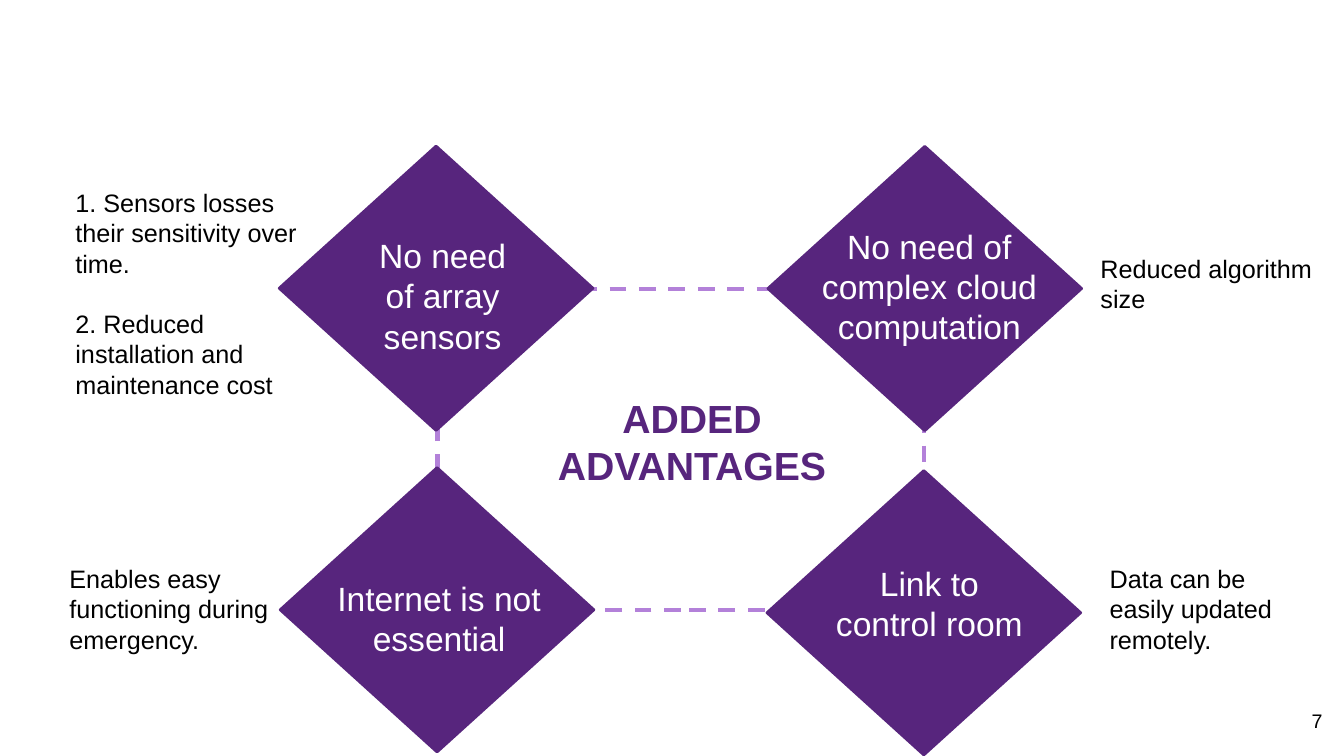
import pptx
import pptx.util
import pptx.dml.color
import pptx.enum.dml
import pptx.enum.shapes
import pptx.enum.text

Pt = pptx.util.Pt
ALIGN = pptx.enum.text.PP_ALIGN
SHAPE = pptx.enum.shapes.MSO_SHAPE
COLORS = {"purple": "57257D", "lilac": "B381D9", "white": "FFFFFF", "black": "000000"}


def color(name):
    return pptx.dml.color.RGBColor.from_string(COLORS[name])


def write(box, text, size=18, ink="black", bold=False, align=ALIGN.LEFT, gap=0):
    """Fill a box with text, one paragraph a line, with a gap between paragraphs."""
    frame = box.text_frame
    frame.word_wrap = True
    frame.auto_size = pptx.enum.text.MSO_AUTO_SIZE.NONE
    frame.vertical_anchor = pptx.enum.text.MSO_ANCHOR.TOP
    for index, line in enumerate(text.split("\n")):
        para = frame.add_paragraph() if index else frame.paragraphs[0]
        para.alignment = align
        para.space_before = Pt(gap if index else 0)
        span = para.add_run()
        span.text = line
        span.font.name = "Arial"
        span.font.size = Pt(size)
        span.font.bold = bold
        span.font.color.rgb = color(ink)


class SlideBuilder:
    def __init__(self, deck):
        self.page = deck.slides.add_slide(deck.slide_layouts[5])

    def shape(self, kind, place, fill, line, width):
        shape = self.page.shapes.add_shape(kind, *map(Pt, place))
        shape.shadow.inherit = False
        shape.fill.solid()
        shape.fill.fore_color.rgb = color(fill)
        shape.line.color.rgb = color(line)
        shape.line.width = Pt(width)
        return shape

    def frame(self, place):
        frame = self.shape(SHAPE.RECTANGLE, place, "white", "lilac", 3)
        frame.line.dash_style = pptx.enum.dml.MSO_LINE.DASH

    def diamond(self, left, top):
        self.shape(SHAPE.DIAMOND, (left, top, 224, 203), "purple", "purple", 2)

    def text(self, place, text, **style):
        write(self.page.shapes.add_textbox(*map(Pt, place)), text, **style)

    def title(self, place, text, **style):
        title = self.page.shapes.title
        title.left, title.top, title.width, title.height = map(Pt, place)
        write(title, text, **style)
        # Bring the title in front of the frame
        self.page.shapes.element.append(title.element)


# Diamond corner, label place and text, note place and text
ADVANTAGES = [
    ((199.5, 104.4), (257.8, 164.2, 116.6, 94.3), "No need of array sensors",
     (46.8, 130.3, 182.9, 181.4),
     "1. Sensors losses their sensitivity over time.\n"
     "2. Reduced installation and maintenance cost"),
    ((548.6, 104.6), (565.9, 157.7, 195.8, 94.3), "No need of complex cloud computation",
     (779, 177.1, 169.2, 51.1), "Reduced algorithm size"),
    ((200.2, 334.1), (221.8, 409, 183.6, 65.5), "Internet is not essential",
     (42.5, 398.9, 173.5, 72.7), "Enables easy functioning during emergency."),
    ((547.9, 336.2), (586.1, 398.4, 155.5, 65.5), "Link to control room",
     (785.5, 398.9, 155.5, 72.7), "Data can be easily updated remotely."),
]


def main():
    deck = pptx.Presentation()
    deck.slide_width, deck.slide_height = Pt(960), Pt(540)
    slide = SlideBuilder(deck)

    # Dashed frame that links the diamonds
    slide.frame((312.5, 206.6, 347.8, 229))

    # Central title
    slide.title((382.3, 277.9, 223.9, 74.9), "ADDED ADVANTAGES",
                size=28, ink="purple", bold=True, align=ALIGN.CENTER)

    # Advantages with their notes
    for corner, label_place, label, note_place, note in ADVANTAGES:
        slide.diamond(*corner)
        slide.text(label_place, label, size=24, ink="white", align=ALIGN.CENTER)
        slide.text(note_place, note, gap=21.6)

    # Page number
    slide.text((727.9, 502.6, 223.9, 37.4), "7", size=14, align=ALIGN.RIGHT)

    deck.save("out.pptx")


if __name__ == "__main__":
    main()
